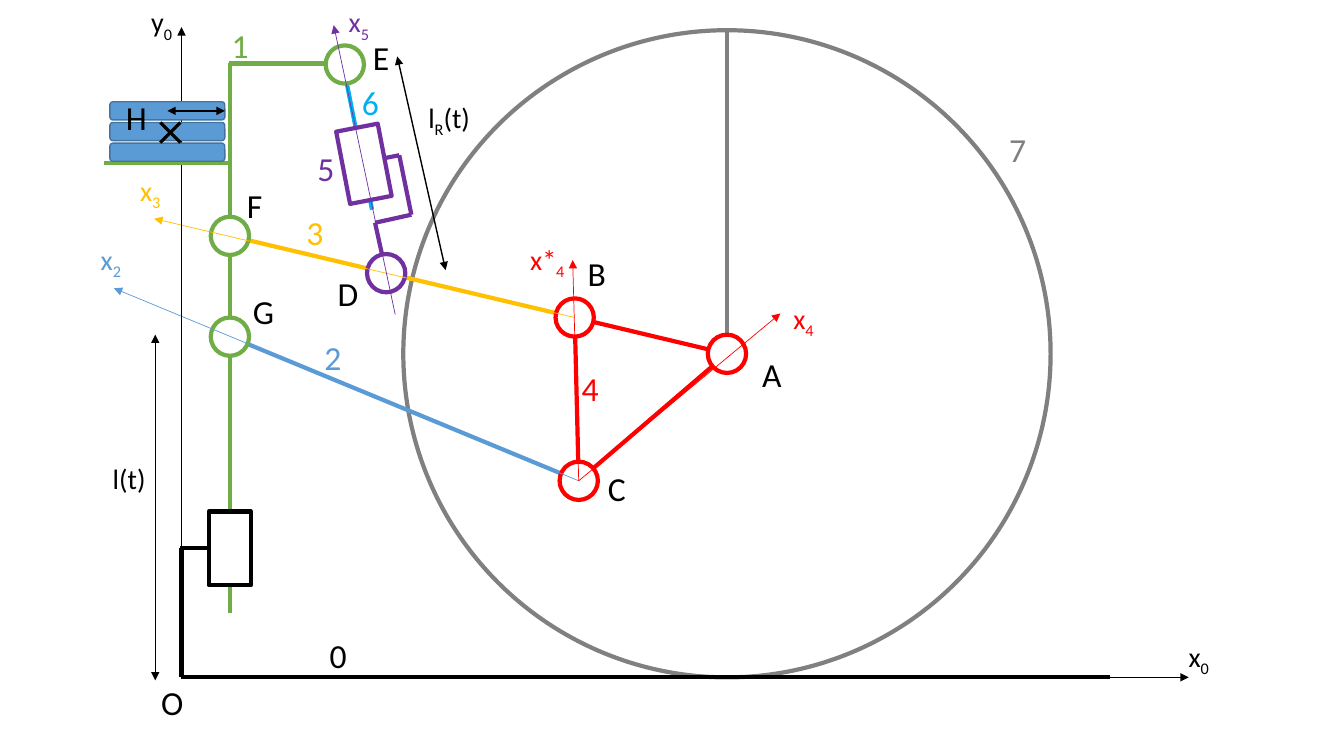
"""Draw the kinematic diagram of a lifting mechanism on a wheel."""

import dataclasses
import typing

import lxml.etree
import pptx
import pptx.dml.color
import pptx.enum.shapes
import pptx.enum.text
import pptx.oxml.ns
import pptx.slide
import pptx.util


@dataclasses.dataclass(frozen=True)
class Theme:
    font: str = "Calibri"
    name_size: float = 24
    axis_size: float = 20
    thick: float = 3
    cross: float = 2.25
    medium: float = 1
    thin: float = 0.5
    black: str = "000000"
    white: str = "FFFFFF"
    grey: str = "808080"
    green: str = "70AD47"
    blue: str = "5B9BD5"
    navy: str = "43739E"
    yellow: str = "FFC000"
    red: str = "FF0000"
    purple: str = "7030A0"
    cyan: str = "00B0F0"


class Point(typing.NamedTuple):
    column: float
    row: float


class Segment(typing.NamedTuple):
    start: Point
    end: Point
    color: str
    width: float = Theme.thick
    head: bool = False
    tail: bool = False


class Figure(typing.NamedTuple):
    kind: pptx.enum.shapes.MSO_SHAPE
    center: Point
    columns: float
    rows: float
    line: str
    fill: str | None = Theme.white
    width: float = Theme.thick
    rotation: float = 0


class Label(typing.NamedTuple):
    text: str
    corner: Point
    columns: float
    color: str = Theme.black
    size: float = Theme.name_size
    wrap: bool = False


THEME = Theme()
SHAPE = pptx.enum.shapes.MSO_SHAPE
ROWS = 75
SLIDE_WIDTH = pptx.util.Inches(13.33)
SLIDE_HEIGHT = pptx.util.Inches(7.5)
CELL = SLIDE_HEIGHT / ROWS
JOINT_SIZE = 3.8

A, B, C = Point(72.1, 35.1), Point(57, 31.5), Point(57.4, 47.7)
D, E = Point(38.3, 27.1), Point(34.2, 6.4)
F, G = Point(22.8, 23.4), Point(22.8, 33.4)
ORIGIN = Point(18, 67.2)
MAST_TOP = Point(22.8, 6.3)
SLEEVE = Point(22.8, 54.4)
BRACKET = Point(18, 54.4)
CRANK = [Point(38.1, 15.7), Point(39.6, 15.4), Point(40.8, 21.3), Point(37.2, 22.1), D]
CARGO = Point(16.9, 13.15)
CROSS_REACH = 1


def length(cells: float) -> pptx.util.Emu:
    """Convert grid cells to a slide length."""
    return pptx.util.Emu(round(cells * CELL))


def rgb(color: str) -> pptx.dml.color.RGBColor:
    """Turn a hexadecimal code into a colour."""
    return pptx.dml.color.RGBColor.from_string(color)


def draw_segment(slide: pptx.slide.Slide, segment: Segment) -> None:
    """Draw a straight line with optional arrowheads."""
    connector = slide.shapes.add_connector(
        pptx.enum.shapes.MSO_CONNECTOR.STRAIGHT,
        *map(length, segment.start), *map(length, segment.end))
    connector.line.color.rgb = rgb(segment.color)
    connector.line.width = pptx.util.Pt(segment.width)
    properties = connector._element.spPr
    outline = properties.find(pptx.oxml.ns.qn("a:ln"))
    for tag, present in (("a:headEnd", segment.head), ("a:tailEnd", segment.tail)):
        if present:
            lxml.etree.SubElement(outline, pptx.oxml.ns.qn(tag), type="triangle")
    lxml.etree.SubElement(properties, pptx.oxml.ns.qn("a:effectLst"))


def draw_figure(slide: pptx.slide.Slide, figure: Figure) -> None:
    """Draw a preset shape around its centre."""
    left = figure.center.column - figure.columns / 2
    top = figure.center.row - figure.rows / 2
    shape = slide.shapes.add_shape(
        figure.kind, *map(length, (left, top, figure.columns, figure.rows)))
    shape.shadow.inherit = False
    shape.rotation = figure.rotation
    if figure.fill is None:
        shape.fill.background()
    else:
        shape.fill.solid()
        shape.fill.fore_color.rgb = rgb(figure.fill)
    shape.line.color.rgb = rgb(figure.line)
    shape.line.width = pptx.util.Pt(figure.width)


def draw_label(slide: pptx.slide.Slide, label: Label) -> None:
    """Write a label, lowering the character that follows an underscore."""
    rows = label.size / 6 + 1
    box = slide.shapes.add_textbox(*map(length, (*label.corner, label.columns, rows)))
    frame = box.text_frame
    frame.word_wrap = label.wrap
    frame.auto_size = pptx.enum.text.MSO_AUTO_SIZE.SHAPE_TO_FIT_TEXT
    paragraph = frame.paragraphs[0]
    paragraph.font.name = THEME.font
    paragraph.font.size = pptx.util.Pt(label.size)
    paragraph.font.color.rgb = rgb(label.color)
    base, _, rest = label.text.partition("_")
    for text, baseline in ((base, 0), (rest[:1], -25000), (rest[1:], 0)):
        if text:
            run = paragraph.add_run()
            run.text = text
            if baseline:
                run._r.get_or_add_rPr().set("baseline", str(baseline))


def joint(center: Point, color: str) -> Figure:
    """Describe a pivot circle."""
    return Figure(SHAPE.OVAL, center, JOINT_SIZE, JOINT_SIZE, color)


def axis(start: Point, end: Point, color: str) -> Segment:
    """Describe a thin axis arrow."""
    return Segment(start, end, color, THEME.thin, tail=True)


def dimension(start: Point, end: Point) -> Segment:
    """Describe a double-headed measure."""
    return Segment(start, end, THEME.black, THEME.medium, True, True)


def axis_label(text: str, column: float, row: float, color: str = THEME.black,
               columns: float = 4.2, wrap: bool = False) -> Label:
    """Describe an axis or measure name."""
    return Label(text, Point(column, row), columns, color, THEME.axis_size, wrap)


DRAWING: list[Segment | Figure] = [
    Figure(SHAPE.OVAL, Point(72.1, 35.1), 64.2, 64.2, THEME.grey, None),
    Segment(F, B, THEME.yellow),
    Segment(G, C, THEME.blue),
    *(Segment(start, end, THEME.red) for start, end in ((B, A), (A, C), (B, C))),
    Segment(A, Point(A.column, 3), THEME.grey),
    Segment(MAST_TOP, Point(MAST_TOP.column, 60.8), THEME.green),
    Segment(Point(22.7, 6.3), Point(34, 6.3), THEME.green),
    Segment(BRACKET, ORIGIN, THEME.black),
    Segment(ORIGIN, Point(110.1, ORIGIN.row), THEME.black),
    Segment(Point(34, 6.3), Point(36.9, 20.8), THEME.cyan),
    *(joint(center, THEME.red) for center in (B, C, A)),
    *(joint(center, THEME.green) for center in (G, F)),
    Figure(SHAPE.RECTANGLE, SLEEVE, 4.2, 7.3, THEME.black),
    Figure(SHAPE.RECTANGLE, Point(36.1, 16.25), 4.2, 7.3, THEME.purple, rotation=349.1),
    joint(E, THEME.green),
    Segment(Point(17.9, 54.4), Point(20.7, 54.4), THEME.black),
    *(Segment(start, end, THEME.purple) for start, end in zip(CRANK, CRANK[1:])),
    joint(D, THEME.purple),
    axis(C, Point(11.3, 28.6), THEME.blue),
    axis(B, Point(15.3, 21.7), THEME.yellow),
    axis(Point(39.2, 31.2), Point(33.1, 2.5), THEME.purple),
    axis(ORIGIN, Point(117.9, ORIGIN.row), THEME.black),
    axis(ORIGIN, Point(ORIGIN.column, 2.7), THEME.black),
    axis(C, Point(77.4, 31.1), THEME.red),
    axis(C, Point(56.8, 25.8), THEME.red),
    dimension(Point(15.4, 33.2), Point(15.4, 67.5)),
    dimension(Point(39.4, 5.6), Point(44.2, 26.8)),
    Segment(Point(10.3, 16.2), Point(22.9, 16.2), THEME.green),
    *(Figure(SHAPE.ROUNDED_RECTANGLE, Point(16.6, 15.1 - 2.05 * layer), 11.4, 1.8,
             THEME.navy, THEME.blue, THEME.medium) for layer in range(3)),
    *(Segment(Point(CARGO.column - CROSS_REACH, CARGO.row - slope * CROSS_REACH),
              Point(CARGO.column + CROSS_REACH, CARGO.row + slope * CROSS_REACH),
              THEME.black, THEME.cross) for slope in (1, -1)),
    dimension(Point(22.3, 11), Point(16.6, 11)),
]

LABELS = [
    Label("A", Point(74.6, 34.6), 4), Label("B", Point(57.3, 24.6), 4),
    Label("C", Point(59.3, 45.9), 3.8), Label("D", Point(32.5, 26.6), 4.1),
    Label("E", Point(36, 3.2), 3.7), Label("F", Point(23.5, 17.9), 3.6),
    Label("G", Point(24.1, 28.4), 4.1), Label("H", Point(11.5, 9.1), 4.1),
    Label("O", Point(15, 67.2), 4.2), Label("0", Point(31.7, 62.5), 3.7),
    Label("1", Point(22, 2), 3.7, THEME.green),
    Label("2", Point(31.2, 32.9), 3.7, THEME.blue),
    Label("3", Point(29.4, 20.5), 3.7, THEME.yellow),
    Label("4", Point(56.7, 36), 3.7, THEME.red),
    Label("5", Point(30.5, 14.2), 3.7, THEME.purple),
    Label("6", Point(34.9, 7.6), 3.7, THEME.cyan),
    Label("7", Point(99.1, 12.3), 3.7, THEME.grey),
    axis_label("x_0", 116.9, 62.9), axis_label("y_0", 14, 0),
    axis_label("x_2", 9, 23.6, THEME.blue), axis_label("x_3", 12.9, 16.7, THEME.yellow),
    axis_label("x_4", 77.7, 29.4, THEME.red), axis_label("x_5", 33.6, 0, THEME.purple),
    axis_label("x*_4", 51.6, 23.6, THEME.red, 5.6),
    axis_label("l(t)", 10.2, 45.3, columns=5.3),
    axis_label("l_R(t)", 41.5, 9.5, columns=6.7, wrap=True),
]


def main() -> None:
    """Build and save the presentation."""
    presentation = pptx.Presentation()
    presentation.slide_width, presentation.slide_height = SLIDE_WIDTH, SLIDE_HEIGHT
    slide = presentation.slides.add_slide(presentation.slide_layouts[6])
    for item in DRAWING:
        if isinstance(item, Segment):
            draw_segment(slide, item)
        else:
            draw_figure(slide, item)
    for label in LABELS:
        draw_label(slide, label)
    presentation.save("out.pptx")


main()
